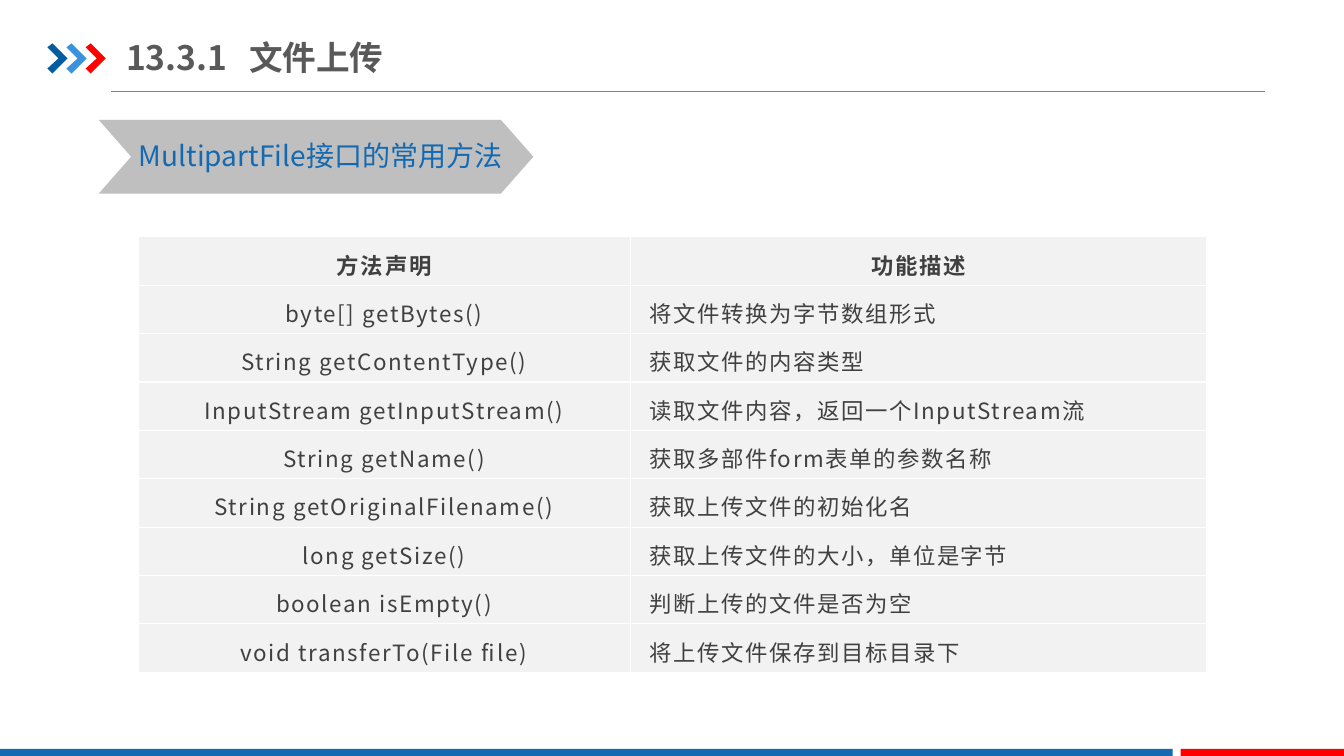
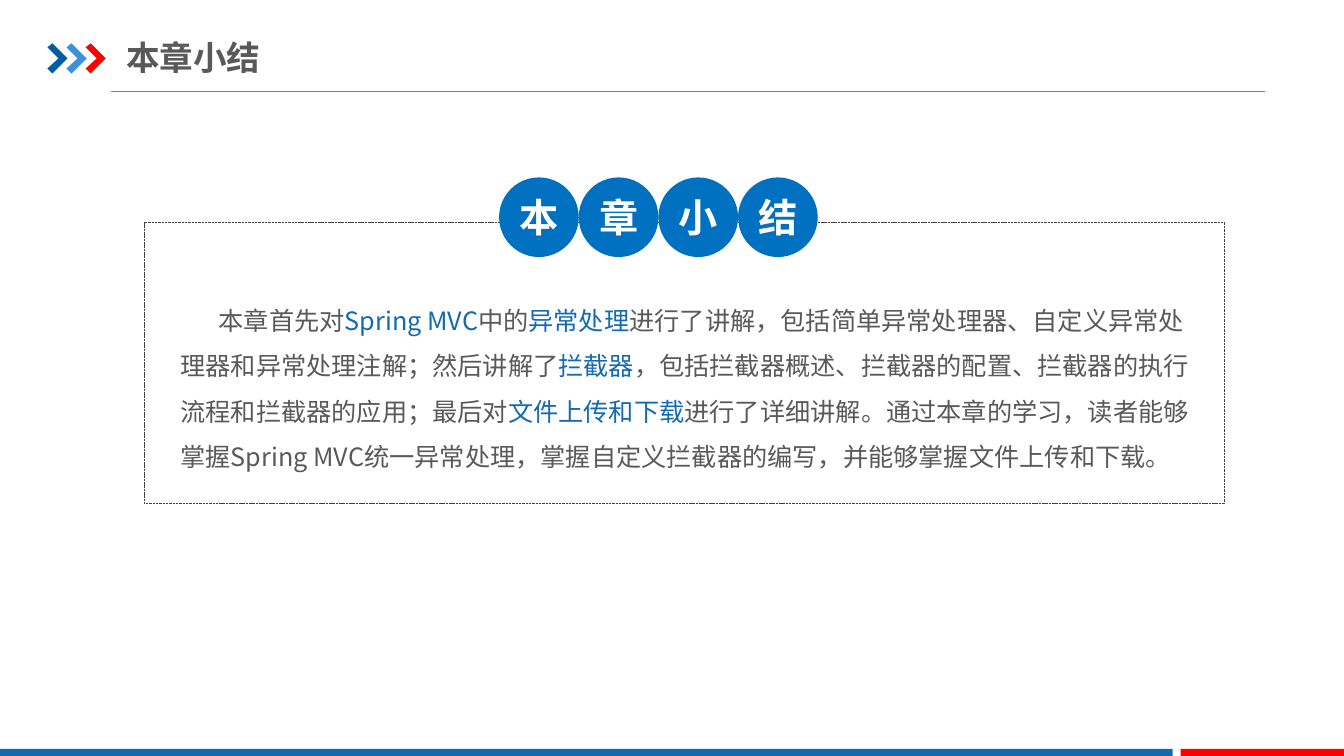
from lxml import etree
from pptx import Presentation
from pptx.dml.color import RGBColor
from pptx.enum.dml import MSO_LINE
from pptx.enum.shapes import MSO_CONNECTOR, MSO_SHAPE
from pptx.enum.text import MSO_ANCHOR, MSO_AUTO_SIZE, PP_ALIGN
from pptx.oxml.ns import qn
from pptx.util import Inches, Pt

LEFT, CENTER = PP_ALIGN.LEFT, PP_ALIGN.CENTER
TOP, MIDDLE = MSO_ANCHOR.TOP, MSO_ANCHOR.MIDDLE
NO_FIT = MSO_AUTO_SIZE.NONE
RECT, OVAL, CHEVRON = MSO_SHAPE.RECTANGLE, MSO_SHAPE.OVAL, MSO_SHAPE.CHEVRON
STRAIGHT, DASH = MSO_CONNECTOR.STRAIGHT, MSO_LINE.SQUARE_DOT

FONT = "Noto Sans CJK SC"
COLORS = {
    "blue": "1369B2", "navy": "005DA2", "sky": "3992DB", "red": "FF0000",
    "circle": "0070C0", "text": "595959", "dark": "404040", "rule": "808080",
    "banner": "BFBFBF", "cell": "F2F2F2", "white": "FFFFFF",
}
TITLE_LAYOUT, BODY_LAYOUT = 5, 1

METHODS = [
    ("方法声明", "功能描述"),
    ("byte[] getBytes()", "将文件转换为字节数组形式"),
    ("String getContentType()", "获取文件的内容类型"),
    ("InputStream getInputStream()", "读取文件内容，返回一个InputStream流"),
    ("String getName()", "获取多部件form表单的参数名称"),
    ("String getOriginalFilename()", "获取上传文件的初始化名"),
    ("long getSize()", "获取上传文件的大小，单位是字节"),
    ("boolean isEmpty()", "判断上传的文件是否为空"),
    ("void transferTo(File file)", "将上传文件保存到目标目录下"),
]
SUMMARY = [
    ("本章首先对", "text"),
    ("Spring MVC", "blue"),
    ("中的", "text"),
    ("异常处理", "blue"),
    ("进行了讲解，包括简单异常处理器、自定义异常处理器和异常处理注解；然后讲解了", "text"),
    ("拦截器", "blue"),
    ("，包括拦截器概述、拦截器的配置、拦截器的执行流程和拦截器的应用；最后对", "text"),
    ("文件上传和下载", "blue"),
    ("进行了详细讲解。通过本章的学习，读者能够掌握Spring MVC统一异常处理，"
     "掌握自定义拦截器的编写，并能够掌握文件上传和下载。", "text"),
]


def rgb(name):
    return RGBColor.from_string(COLORS[name])


class Deck:
    def __init__(self):
        self.prs = Presentation()
        self.prs.slide_width, self.prs.slide_height = Inches(13.33), Inches(7.5)
        self.s = None

    # Text style
    def font(self, p, size, color, bold=False, spacing=0):
        p.font.size, p.font.bold, p.font.name = Pt(size), bold, FONT
        p.font.color.rgb = rgb(color)
        props = p._p.get_or_add_pPr().get_or_add_defRPr()
        etree.SubElement(props, qn("a:ea"), typeface=FONT)
        if spacing:
            props.set("spc", str(round(spacing * 100)))

    def frame(self, tf, anchor, x=0.0, y=0.0, wrap=True):
        tf.auto_size, tf.word_wrap, tf.vertical_anchor = NO_FIT, wrap, anchor
        tf.margin_left = tf.margin_right = Inches(x)
        tf.margin_top = tf.margin_bottom = Inches(y)
        return tf.paragraphs[0]

    def place(self, sp, *box):
        sp.left, sp.top, sp.width, sp.height = map(Inches, box)

    # Plain shapes
    def paint(self, sp, fill=None):
        sp.shadow.inherit = False
        sp.line.fill.background()
        if fill:
            sp.fill.solid()
            sp.fill.fore_color.rgb = rgb(fill)
        else:
            sp.fill.background()
        return sp

    def shape(self, kind, box, fill=None):
        return self.paint(self.s.shapes.add_shape(kind, *map(Inches, box)), fill)

    def rule(self, x1, x2, y):
        line = self.s.shapes.add_connector(
            STRAIGHT, Inches(x1), Inches(y), Inches(x2), Inches(y))
        line.line.color.rgb, line.line.width = rgb("rule"), Pt(0.5)
        etree.SubElement(line._element.spPr, qn("a:effectLst"))

    def arrow_mark(self, x, y, color):
        points = [(0, 0.04), (0.05, 0), (0.2, 0.15), (0.05, 0.3), (0, 0.25), (0.11, 0.15)]
        points = [(Inches(x + dx), Inches(y + dy)) for dx, dy in points]
        outline = self.s.shapes.build_freeform(*points[0])
        outline.add_line_segments(points[1:], close=True)
        self.paint(outline.convert_to_shape(), color)

    # Slide with title, marks and footer bars
    def slide(self, title, layout, tab=None):
        self.s = self.prs.slides.add_slide(self.prs.slide_layouts[layout])
        self.rule(1.1, 12.55, 0.91)
        for i, color in enumerate(("navy", "sky", "red")):
            self.arrow_mark(0.47 + 0.19 * i, 0.43, color)
        self.shape(RECT, (0, 7.43, 11.63, 0.07), "blue")
        self.shape(RECT, (11.71, 7.43, 1.62, 0.07), "red")

        sp = self.s.shapes.title
        self.place(sp, 1.25, 0.29, 4.26, 0.55)
        p = self.frame(sp.text_frame, MIDDLE, y=0.07)
        p.text, p.alignment = title, LEFT
        if tab:
            tabs = etree.SubElement(p._p.get_or_add_pPr(), qn("a:tabLst"))
            etree.SubElement(tabs, qn("a:tab"), pos=str(Inches(tab)), algn="l")
        self.font(p, 24, "text", bold=True)

    # Chevron banner
    def banner(self, text):
        self.shape(CHEVRON, (0.98, 1.19, 4.31, 0.73), "banner").adjustments[0] = 0.44
        sp = self.s.shapes.add_textbox(*map(Inches, (1.28, 1.33, 3.88, 0.44)))
        p = self.frame(sp.text_frame, TOP, 0.1, 0.05, wrap=False)
        p.text = text
        self.font(p, 20, "blue")

    # Table with white grid lines
    def cell(self, cell, text, header, align):
        props = cell._tc.get_or_add_tcPr()
        for side in ("lnL", "lnR", "lnT", "lnB"):
            ln = etree.SubElement(props, qn("a:" + side), w=str(Pt(1)))
            fill = etree.SubElement(ln, qn("a:solidFill"))
            etree.SubElement(fill, qn("a:srgbClr"), val=COLORS["white"])
        cell.fill.solid()
        cell.fill.fore_color.rgb = rgb("cell")
        cell.vertical_anchor = MIDDLE
        cell.margin_left = cell.margin_right = Inches(0.19)
        cell.margin_top = cell.margin_bottom = Inches(0.04)
        p = cell.text_frame.paragraphs[0]
        p.text, p.alignment, p.line_spacing = text, align, 1.2
        self.font(p, 16, "dark", bold=header, spacing=1.3 if header else 1.2)

    def table(self, rows, x, y, widths, row_height):
        box = (x, y, sum(widths), row_height * len(rows))
        tbl = self.s.shapes.add_table(len(rows), len(widths), *map(Inches, box)).table
        tbl.first_row = tbl.horz_banding = False
        for col, width in zip(tbl.columns, widths):
            col.width = Inches(width)
        for r, row in enumerate(rows):
            tbl.rows[r].height = Inches(row_height)
            for c, text in enumerate(row):
                align = CENTER if r == 0 or c == 0 else LEFT
                self.cell(tbl.cell(r, c), text, r == 0, align)

    # Dashed panel with a row of lettered circles
    def panel(self, *box):
        sp = self.shape(RECT, box)
        sp.line.color.rgb, sp.line.width = rgb("dark"), Pt(0.25)
        sp.line.dash_style = DASH

    def circles(self, text, x, y, size):
        for i, char in enumerate(text):
            sp = self.shape(OVAL, (x + size * i, y, size, size), "circle")
            p = self.frame(sp.text_frame, MIDDLE)
            p.text, p.alignment = char, CENTER
            self.font(p, 28, "white", bold=True)

    def body(self, parts, *box):
        sp = self.s.placeholders[1]
        self.place(sp, *box)
        p = self.frame(sp.text_frame, TOP, 0.13, 0.07)
        props = p._p.get_or_add_pPr()
        props.set("marL", "0")
        props.set("indent", str(Inches(0.38)))
        etree.SubElement(props, qn("a:buNone"))
        p.alignment, p.line_spacing, p.space_before = LEFT, 1.5, Pt(0)
        self.font(p, 18, "text")
        for text, color in parts:
            r = p.add_run()
            r.text = text
            r.font.color.rgb = rgb(color)


def main():
    deck = Deck()

    # File upload methods
    deck.slide("13.3.1\t文件上传", TITLE_LAYOUT, tab=1.22)
    deck.banner("MultipartFile接口的常用方法")
    deck.table(METHODS, 1.37, 2.35, (4.88, 5.72), 0.48)

    # Chapter summary
    deck.slide("本章小结", BODY_LAYOUT)
    deck.panel(1.43, 2.2, 10.71, 2.79)
    deck.circles("本章小结", 4.95, 1.76, 0.79)
    deck.body(SUMMARY, 1.66, 2.81, 10.39, 1.9)

    deck.prs.save("out.pptx")


if __name__ == "__main__":
    main()
